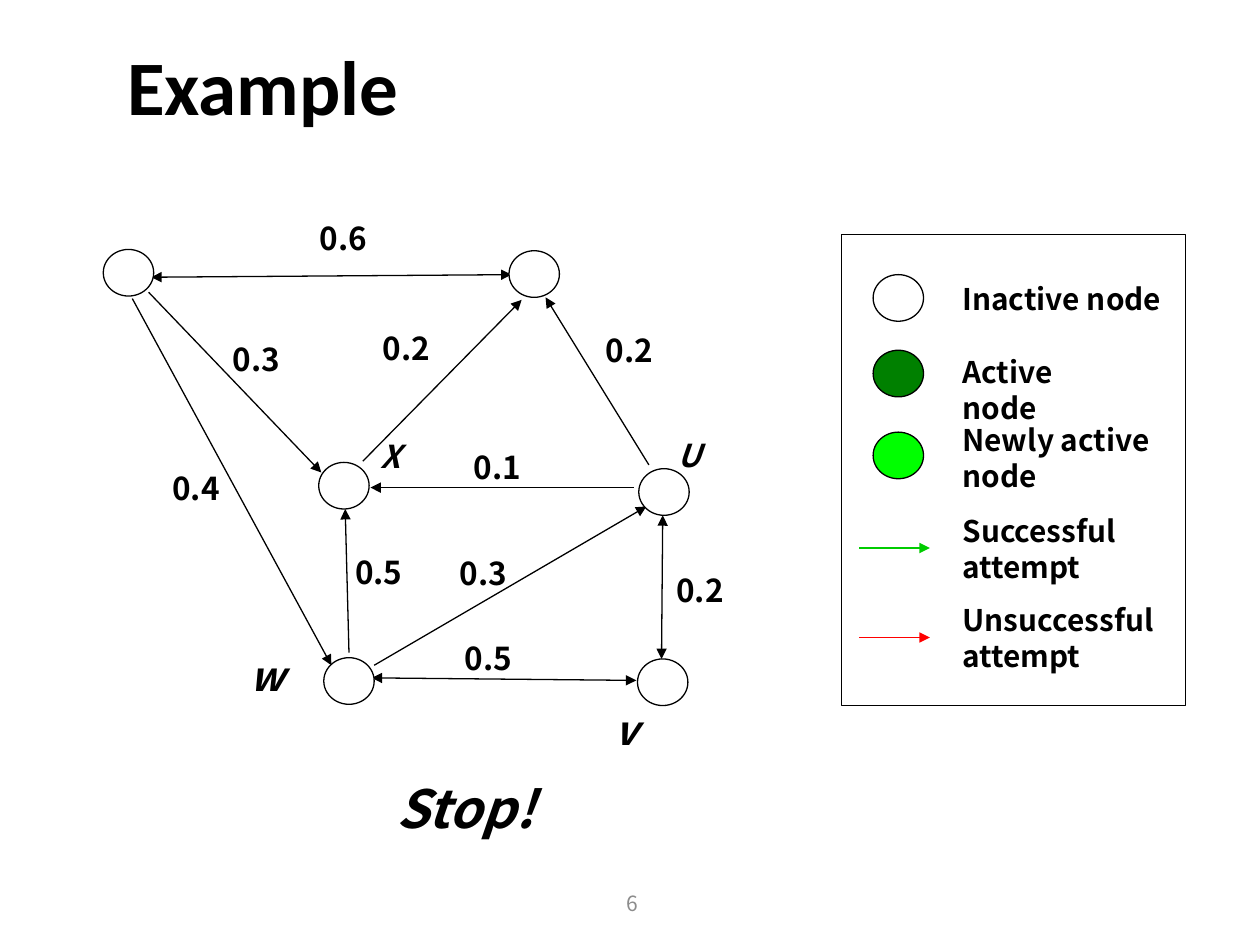
from pptx import Presentation
from pptx.util import Inches, Pt
from pptx.dml.color import RGBColor as RGB
from pptx.enum.shapes import MSO_SHAPE as SHAPE, MSO_CONNECTOR as CONN
from pptx.enum.text import MSO_ANCHOR as ANCHOR, PP_ALIGN as ALIGN
from pptx.oxml.ns import qn
from lxml.etree import SubElement as Sub

COLORS = {"black": "000000", "white": "FFFFFF", "gray": "8C8C8C",
          "active": "008000", "newly": "00FF00",
          "success": "00CC00", "fail": "FF0000"}
FONT = "Noto Sans CJK KR"

NODES = [(2.57, 5.22), (5.06, 5.23), (0.82, 1.98),
         (4.04, 1.99), (2.53, 3.67), (5.07, 3.72)]
EDGES = [(2.97, 5.28, 5.13, 4.02), (2.77, 5.18, 2.74, 4.04),
         (5.03, 3.87, 2.94, 3.87), (1.05, 2.37, 2.63, 5.28),
         (1.18, 2.32, 2.55, 3.75), (2.88, 3.66, 4.14, 2.38),
         (5.15, 3.69, 4.33, 2.36)]
MUTUAL = [(2.95, 5.38, 5.05, 5.4), (1.2, 2.2, 4.06, 2.18),
          (5.26, 4.09, 5.25, 5.23)]
WEIGHTS = [("0.5", 3.59, 5.02), ("0.3", 3.55, 4.35), ("0.2", 5.27, 4.48),
           ("0.5", 2.72, 4.34), ("0.1", 3.66, 3.51), ("0.4", 1.27, 3.67),
           ("0.3", 1.75, 2.65), ("0.2", 2.94, 2.56), ("0.6", 2.44, 1.69),
           ("0.2", 4.71, 2.58)]
NAMES = [("v", 4.78, 5.55, 0.34, 0.48, 23), ("w", 1.88, 5.12, 0.38, 0.48, 23),
         ("U", 5.28, 3.41, 0.47, 0.4, 18), ("X", 2.92, 3.42, 0.47, 0.4, 18),
         ("Stop!", 3.05, 6.11, 1.43, 0.6, 30)]
KEYS = [("Inactive node", 2.18, 1.85, 0.39), ("Active node", 2.76, 1.5, 0.39),
        ("Newly active\nnode", 3.3, 1.85, 0.67),
        ("Successful\nattempt", 4.02, 1.85, 0.67),
        ("Unsuccessful\nattempt", 4.73, 1.85, 0.67)]
KEY_NODES = [(2.18, "white"), (2.78, "active"), (3.43, "newly")]
KEY_LINES = [(4.35, "success"), (5.06, "fail")]


def color(name):
    return RGB.from_string(COLORS[name])


def add_text(slide, text, x, y, w, h, size, bold=True, italic=False,
             font=FONT, tint="black", align=ALIGN.LEFT, anchor=ANCHOR.TOP):
    box = slide.shapes.add_textbox(Inches(x), Inches(y), Inches(w), Inches(h))
    frame = box.text_frame
    frame.word_wrap = True
    frame.vertical_anchor = anchor
    frame.text = text
    for para in frame.paragraphs:
        para.alignment = align
        for run in para.runs:
            run.font.name = font
            run.font.size = Pt(size)
            run.font.bold = bold
            run.font.italic = italic
            run.font.color.rgb = color(tint)


def add_form(slide, kind, x, y, w, h, fill=None):
    form = slide.shapes.add_shape(kind, Inches(x), Inches(y),
                                  Inches(w), Inches(h))
    form.shadow.inherit = False
    if fill:
        form.fill.solid()
        form.fill.fore_color.rgb = color(fill)
    else:
        form.fill.background()
    form.line.color.rgb = color("black")
    form.line.width = Pt(0.75)


def add_node(slide, x, y, fill="white"):
    add_form(slide, SHAPE.OVAL, x, y, 0.4, 0.37, fill)


def add_arrow(slide, ends, tint="black", both=False):
    line = slide.shapes.add_connector(CONN.STRAIGHT, *map(Inches, ends))
    line.line.color.rgb = color(tint)
    line.line.width = Pt(0.75)
    props = line._element.spPr
    stroke = props.find(qn("a:ln"))
    if both:
        Sub(stroke, qn("a:headEnd"), type="triangle")
    Sub(stroke, qn("a:tailEnd"), type="triangle")
    Sub(props, qn("a:effectLst"))


def add_graph(slide):
    for ends in EDGES:
        add_arrow(slide, ends)
    for ends in MUTUAL:
        add_arrow(slide, ends, both=True)
    for text, x, y in WEIGHTS:
        add_text(slide, text, x, y, 0.67, 0.4, 18)
    for x, y in NODES:
        add_node(slide, x, y)
    for name in NAMES:
        add_text(slide, *name, italic=True)


def add_legend(slide):
    add_form(slide, SHAPE.RECTANGLE, 6.68, 1.86, 2.73, 3.74)
    for text, y, w, h in KEYS:
        add_text(slide, text, 7.54, y, w, h, 17)
    for y, fill in KEY_NODES:
        add_node(slide, 6.93, y, fill)
    for y, tint in KEY_LINES:
        add_arrow(slide, (6.82, y, 7.38, y), tint)


def main():
    deck = Presentation()
    deck.slide_width, deck.slide_height = Inches(10), Inches(7.5)
    slide = deck.slides.add_slide(deck.slide_layouts[6])
    add_text(slide, "6", 3.85, 6.97, 2.33, 0.4, 12, bold=False, tint="gray",
             align=ALIGN.CENTER, anchor=ANCHOR.MIDDLE)
    add_text(slide, "Example", 0.91, 0.05, 8.58, 1.25, 44, font="Calibri",
             anchor=ANCHOR.MIDDLE)
    add_graph(slide)
    add_legend(slide)
    deck.save("out.pptx")


if __name__ == "__main__":
    main()
